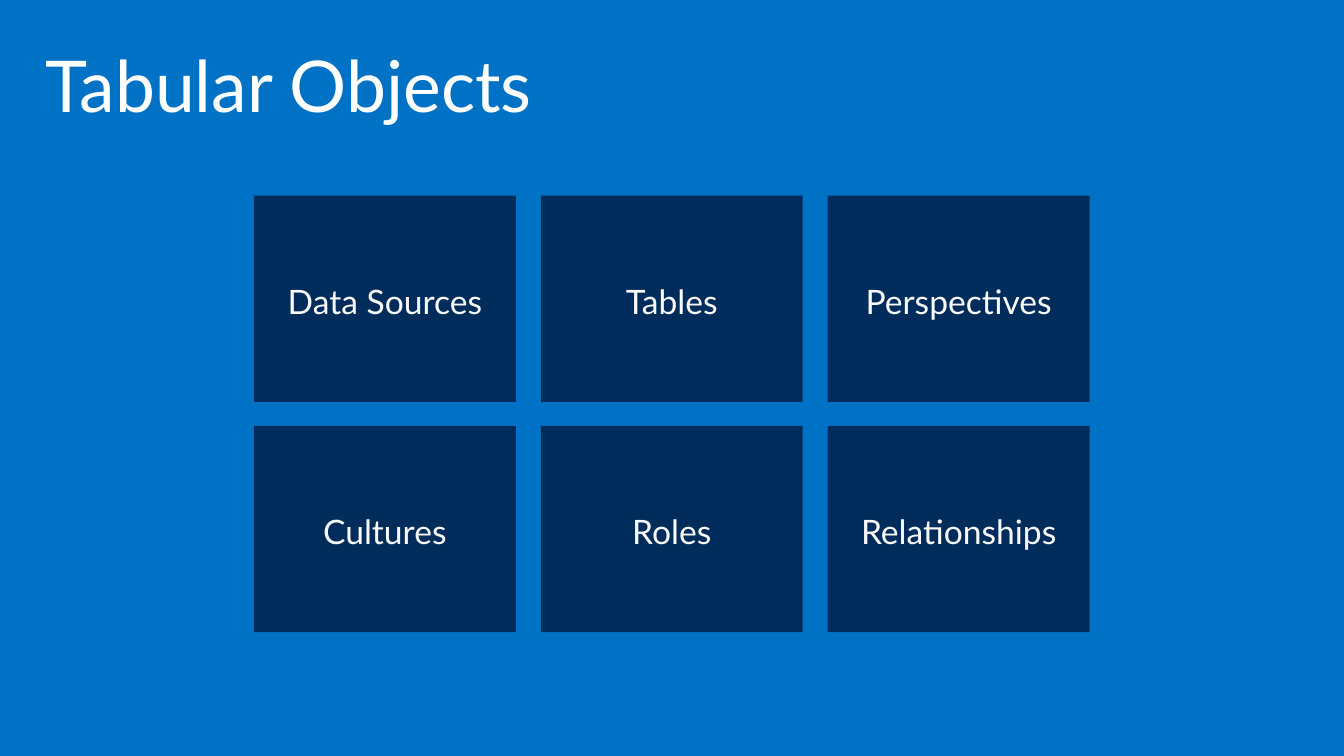
from pptx import Presentation
from pptx.dml.color import RGBColor
from pptx.enum.shapes import MSO_SHAPE
from pptx.enum.text import MSO_ANCHOR, PP_ALIGN
from pptx.util import Cm, Pt

RECTANGLE = MSO_SHAPE.RECTANGLE
TOP, MIDDLE = MSO_ANCHOR.TOP, MSO_ANCHOR.MIDDLE
LEFT, CENTER = PP_ALIGN.LEFT, PP_ALIGN.CENTER

BLUE = RGBColor(0x00, 0x72, 0xC6)
NAVY = RGBColor(0x00, 0x2C, 0x5C)
WHITE = RGBColor(0xFF, 0xFF, 0xFF)
OFF_WHITE = RGBColor(0xFA, 0xFA, 0xFA)

FONT = "Lato"
TILE_LEFT, TILE_TOP = 6.4, 4.93
TILE_WIDTH, TILE_HEIGHT = 6.6, 5.2
COLUMN_STEP, ROW_STEP = 7.23, 5.8
OBJECT_ROWS = [
    ["Data Sources", "Tables", "Perspectives"],
    ["Cultures", "Roles", "Relationships"],
]


def write(shape, text, size, color, align, anchor, insets):
    """Fill the shape with one styled line; insets are left, top, right, bottom in cm."""
    frame = shape.text_frame
    frame.word_wrap = True
    frame.vertical_anchor = anchor
    (frame.margin_left, frame.margin_top,
     frame.margin_right, frame.margin_bottom) = [Cm(inset) for inset in insets]
    paragraph = frame.paragraphs[0]
    paragraph.alignment = align
    run = paragraph.add_run()
    run.text = text
    run.font.name = FONT
    run.font.size = Pt(size)
    run.font.color.rgb = color


presentation = Presentation()
presentation.slide_width = Cm(33.87)
presentation.slide_height = Cm(19.05)
slide = presentation.slides.add_slide(presentation.slide_layouts[6])
slide.background.fill.solid()
slide.background.fill.fore_color.rgb = BLUE

title = slide.shapes.add_textbox(Cm(0.74), Cm(0.79), Cm(32.36), Cm(2.57))
write(title, "Tabular Objects", 51, WHITE, LEFT, TOP, (0.41, 0.25, 0.41, 0.25))

for row, names in enumerate(OBJECT_ROWS):
    for column, name in enumerate(names):
        tile = slide.shapes.add_shape(
            RECTANGLE,
            Cm(TILE_LEFT + column * COLUMN_STEP), Cm(TILE_TOP + row * ROW_STEP),
            Cm(TILE_WIDTH), Cm(TILE_HEIGHT))
        tile.shadow.inherit = False
        tile.fill.solid()
        tile.fill.fore_color.rgb = NAVY
        tile.line.fill.background()
        write(tile, name, 24, OFF_WHITE, CENTER, MIDDLE, (0.25, 0.25, 0.25, 0.13))

presentation.save("out.pptx")
